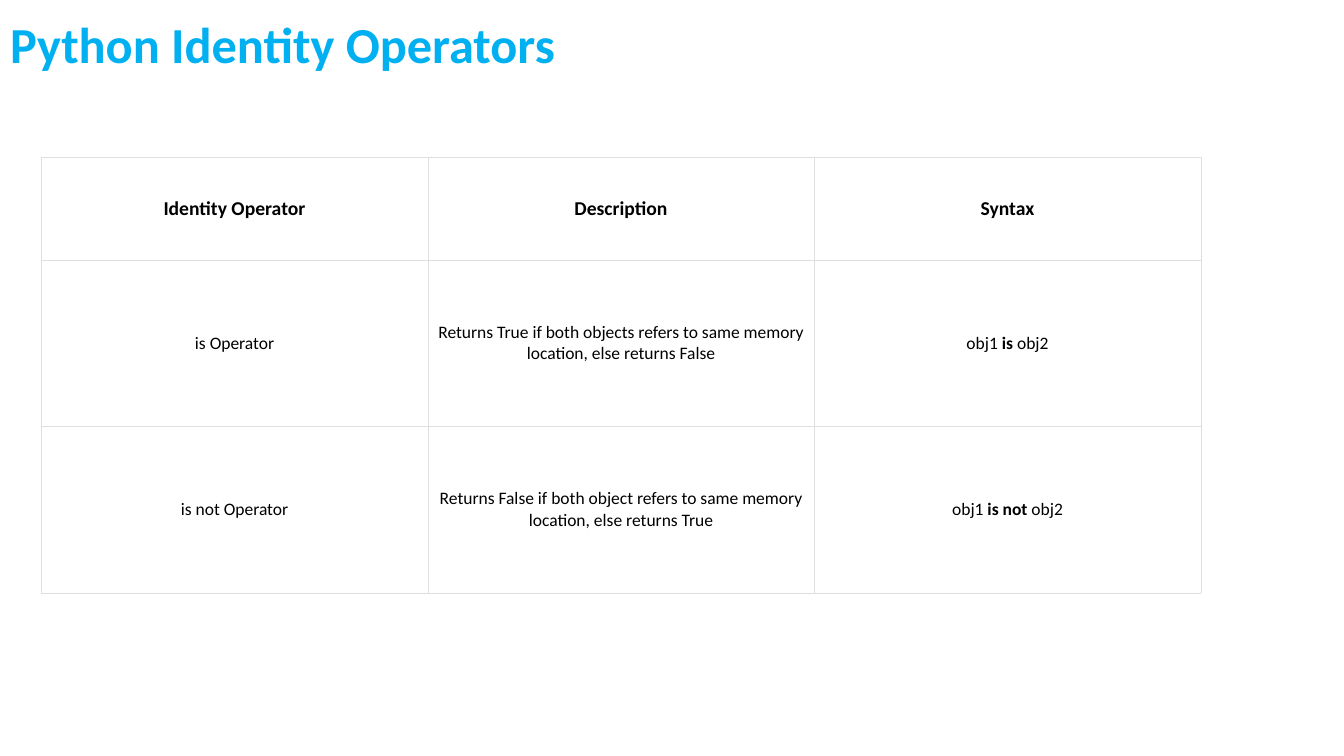
from dataclasses import dataclass

from lxml.etree import SubElement
from pptx import Presentation
from pptx.dml.color import RGBColor as Rgb
from pptx.enum.text import MSO_ANCHOR as Anchor, PP_ALIGN as Align
from pptx.oxml.ns import qn
from pptx.util import Inches, Pt


@dataclass(frozen=True)
class Theme:
    font: str = "Calibri"
    title: str = "00B0F0"
    ink: str = "000000"
    fill: str = "FFFFFF"
    rule: str = "DFDFDF"
    title_size: float = 36
    head_size: float = 14
    body_size: float = 12.5
    rule_width: float = 0.18


THEME = Theme()
HEADS = ["Identity Operator", "Description", "Syntax"]
# In the syntax column each row has text, bold keyword, text
ROWS = [
    ["is Operator",
     "Returns True if both objects refers to same memory location, else returns False",
     ("obj1 ", "is", " obj2")],
    ["is not Operator",
     "Returns False if both object refers to same memory location, else returns True",
     ("obj1 ", "is not", " obj2")],
]


def style(run, size, color, bold):
    font = run.font
    font.name, font.size, font.bold = THEME.font, Pt(size), bold
    font.color.rgb = Rgb.from_string(color)


def add_title(slide, text, left, top, width, height):
    title = slide.shapes.title
    title.left, title.top = Inches(left), Inches(top)
    title.width, title.height = Inches(width), Inches(height)
    frame = title.text_frame
    frame.text = text
    frame.word_wrap = True
    frame.vertical_anchor = Anchor.MIDDLE
    para = frame.paragraphs[0]
    para.alignment = Align.LEFT
    para.line_spacing = 0.9
    style(para.runs[0], THEME.title_size, THEME.title, True)


def add_rules(cell):
    props = cell._tc.get_or_add_tcPr()
    for side in ("lnL", "lnR", "lnT", "lnB"):
        line = SubElement(props, qn(f"a:{side}"), w=str(Pt(THEME.rule_width)))
        fill = SubElement(line, qn("a:solidFill"))
        SubElement(fill, qn("a:srgbClr"), val=THEME.rule)


def fill_cell(cell, text, head):
    parts = (text,) if isinstance(text, str) else text
    para = cell.text_frame.paragraphs[0]
    para.alignment = Align.CENTER
    size = THEME.head_size if head else THEME.body_size
    for i, part in enumerate(parts):
        run = para.add_run()
        run.text = part
        style(run, size, THEME.ink, head or i == 1)
    cell.vertical_anchor = Anchor.MIDDLE
    cell.margin_left = cell.margin_right = Inches(0.08)
    cell.margin_top = cell.margin_bottom = Inches(0.08 if head else 0.12)
    add_rules(cell)
    cell.fill.solid()
    cell.fill.fore_color.rgb = Rgb.from_string(THEME.fill)


def add_grid(slide, left, top, width, height, head_height):
    data = [HEADS] + ROWS
    box = [Inches(n) for n in (left, top, width, height)]
    table = slide.shapes.add_table(len(data), len(HEADS), *box).table
    table.first_row = table.horz_banding = False
    for col in table.columns:
        col.width = Inches(width / len(HEADS))
    # The body rows share what the header leaves
    body = (height - head_height) / len(ROWS)
    for r, texts in enumerate(data):
        table.rows[r].height = Inches(body if r else head_height)
        for c, text in enumerate(texts):
            fill_cell(table.cell(r, c), text, r == 0)
    table.cell(0, 0).margin_left = table.cell(0, 0).margin_right = Inches(0.04)


def main():
    deck = Presentation()
    deck.slide_width, deck.slide_height = Inches(13.33), Inches(7.5)
    slide = deck.slides.add_slide(deck.slide_layouts[5])
    add_title(slide, "Python Identity Operators", 0, -0.09, 11.5, 1.11)
    add_grid(slide, 0.41, 1.56, 11.5, 4.32, 1.02)
    deck.save("out.pptx")


if __name__ == "__main__":
    main()
